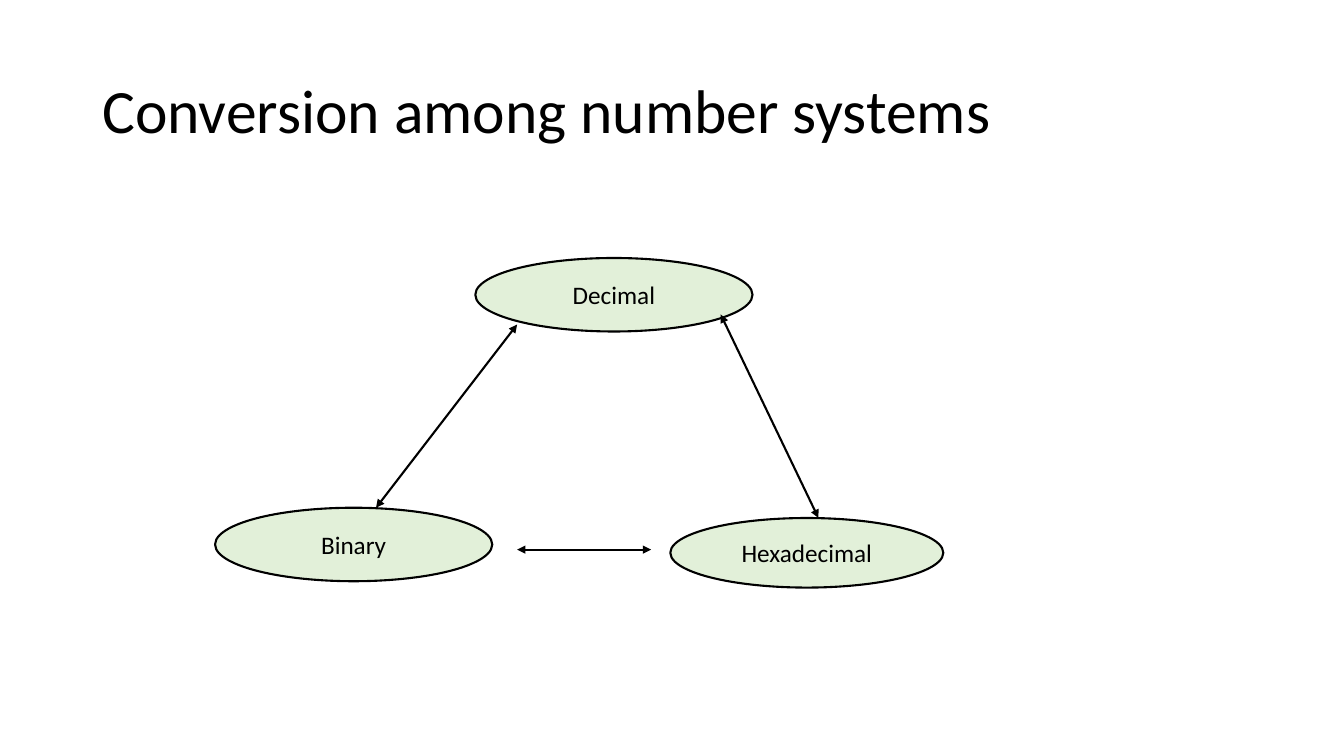
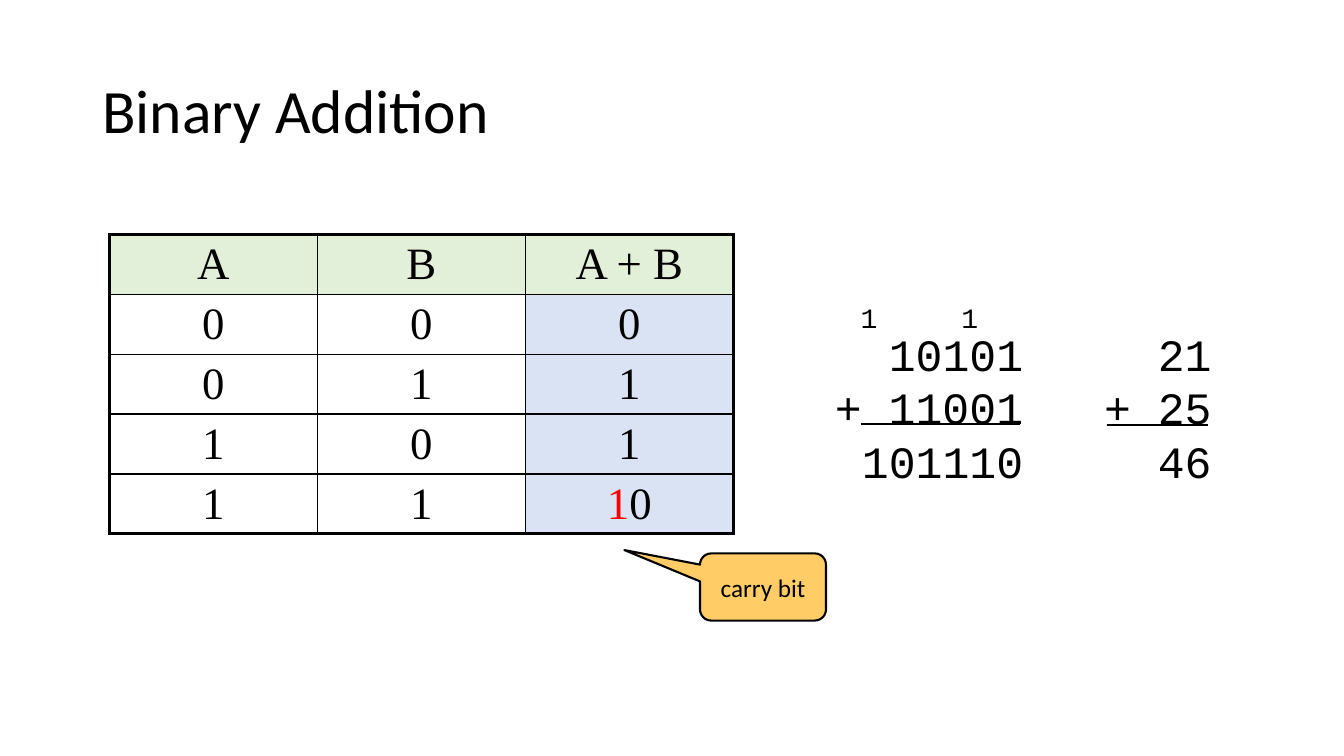
from pptx import Presentation
from pptx.util import Pt
from pptx.dml.color import RGBColor
from pptx.enum import shapes as es, text as et
from pptx.oxml import parse_xml
from pptx.oxml.ns import nsdecls, qn
from lxml import etree

INK, GREEN, BLUE, GOLD, RED = "000000", "E2F0D9", "DAE3F3", "FFCC66", "FF0000"
SANS, SERIF, MONO = "Calibri", "Times New Roman", "Courier New"
KIND = es.MSO_SHAPE
SIDE = et.PP_ALIGN


def write(frame, lines, font=SANS, size=18, align=SIDE.CENTER, gap=None, wrap=True,
          anchor=et.MSO_ANCHOR.MIDDLE, pad=None):
    frame.word_wrap = wrap
    frame.vertical_anchor = anchor
    if pad is not None:
        frame.margin_left = frame.margin_right = Pt(pad)
        frame.margin_top = frame.margin_bottom = Pt(pad)
    for i, runs in enumerate(lines):
        para = frame.paragraphs[0] if i == 0 else frame.add_paragraph()
        para.alignment = align
        if gap:
            para.line_spacing = gap
        for word, hue in runs:
            run = para.add_run()
            run.text = word
            run.font.name = font
            run.font.size = Pt(size)
            run.font.color.rgb = RGBColor.from_string(hue)


def outline(item, ends=False):
    item.line.color.rgb = RGBColor.from_string(INK)
    item.line.width = Pt(1.5)
    if ends:
        for tag in ("a:headEnd", "a:tailEnd"):
            etree.SubElement(item.line._ln, qn(tag), type="triangle")
    etree.SubElement(item._element.spPr, qn("a:effectLst"))


deck = Presentation()
deck.slide_width, deck.slide_height = Pt(960), Pt(540)

pages = []
for title in ("Conversion among number systems", "Binary Addition"):
    page = deck.slides.add_slide(deck.slide_layouts[6])
    box = page.shapes.add_textbox(Pt(66), Pt(28.75), Pt(828), Pt(104.4))
    write(box.text_frame, [[(title, INK)]], size=44, align=SIDE.LEFT, gap=0.9)
    pages.append(page)
graph, sums = pages

nodes = [
    (graph, KIND.OVAL, "Hexadecimal", GREEN, 478.8, 370, 195, 49.7),
    (graph, KIND.OVAL, "Decimal", GREEN, 339.5, 184.3, 198, 52.5),
    (graph, KIND.OVAL, "Binary", GREEN, 153.6, 362.7, 198, 52.5),
    (sums, KIND.ROUNDED_RECTANGULAR_CALLOUT, "carry bit", GOLD, 500, 395.3, 90, 48),
]
for page, kind, label, hue, x, y, w, h in nodes:
    node = page.shapes.add_shape(kind, Pt(x), Pt(y), Pt(w), Pt(h))
    if page is sums:
        node.adjustments[0], node.adjustments[1] = -1.1, -0.55
    node.fill.solid()
    node.fill.fore_color.rgb = RGBColor.from_string(hue)
    outline(node)
    write(node.text_frame, [[(label, INK)]], wrap=page is sums)

links = [
    (graph, 584.6, 370, 514.8, 224.6),
    (graph, 268.6, 362.7, 369.4, 231.8),
    (graph, 369.4, 392.6, 465.1, 392.6),
    (sums, 614.9, 302.9, 728.6, 302.9),
    (sums, 790.6, 303.6, 862.6, 303.6),
]
for page, *ends in links:
    link = page.shapes.add_connector(es.MSO_CONNECTOR.STRAIGHT, *map(Pt, ends))
    outline(link, ends=page is graph)

rows = ["A", "B", "A + B"], "000", "011", "101", ["1", "1", "10"]
high, wide = len(rows), len(rows[0])
table = sums.shapes.add_table(high, wide, Pt(78), Pt(167.4), Pt(445.8), Pt(214)).table
for col in table.columns:
    col.width = Pt(148.6)
for r, row in enumerate(rows):
    table.rows[r].height = Pt(42.8)
    for c, word in enumerate(row):
        cell = table.cell(r, c)
        cell.margin_top = cell.margin_bottom = Pt(2)
        cell.vertical_anchor = et.MSO_ANCHOR.MIDDLE
        runs = [("1", RED), ("0", INK)] if word == "10" else [(word, INK)]
        write(cell.text_frame, [runs], font=SERIF, size=32)
        props = cell._tc.get_or_add_tcPr()
        edges = {"L": c == 0, "R": c == wide - 1, "T": r == 0, "B": r == high - 1}
        for side, outer in edges.items():
            width = Pt(2.25 if outer else 1)
            props.append(parse_xml(
                f'<a:ln{side} {nsdecls("a")} w="{width}"><a:solidFill>'
                f'<a:srgbClr val="{INK}"/></a:solidFill></a:ln{side}>'))
        hue = GREEN if r == 0 else BLUE if c == wide - 1 else None
        if hue:
            cell.fill.solid()
            cell.fill.fore_color.rgb = RGBColor.from_string(hue)
        else:
            cell.fill.background()

for right, lines in ((731, ("10101", "+ 11001", "101110")), (865.5, ("21", "+ 25", "46"))):
    box = sums.shapes.add_textbox(Pt(right - 150), Pt(233.3), Pt(150), Pt(115))
    write(box.text_frame, [[(line, INK)] for line in lines], font=MONO, size=32,
          align=SIDE.RIGHT, gap=Pt(38.2), anchor=et.MSO_ANCHOR.TOP, pad=0)

for x in (607.7, 679.7):
    box = sums.shapes.add_textbox(Pt(x), Pt(211), Pt(26.6), Pt(31.7))
    write(box.text_frame, [[("1", INK)]], font=MONO, size=20, align=SIDE.LEFT,
          wrap=False, anchor=et.MSO_ANCHOR.TOP)

deck.save("out.pptx")
